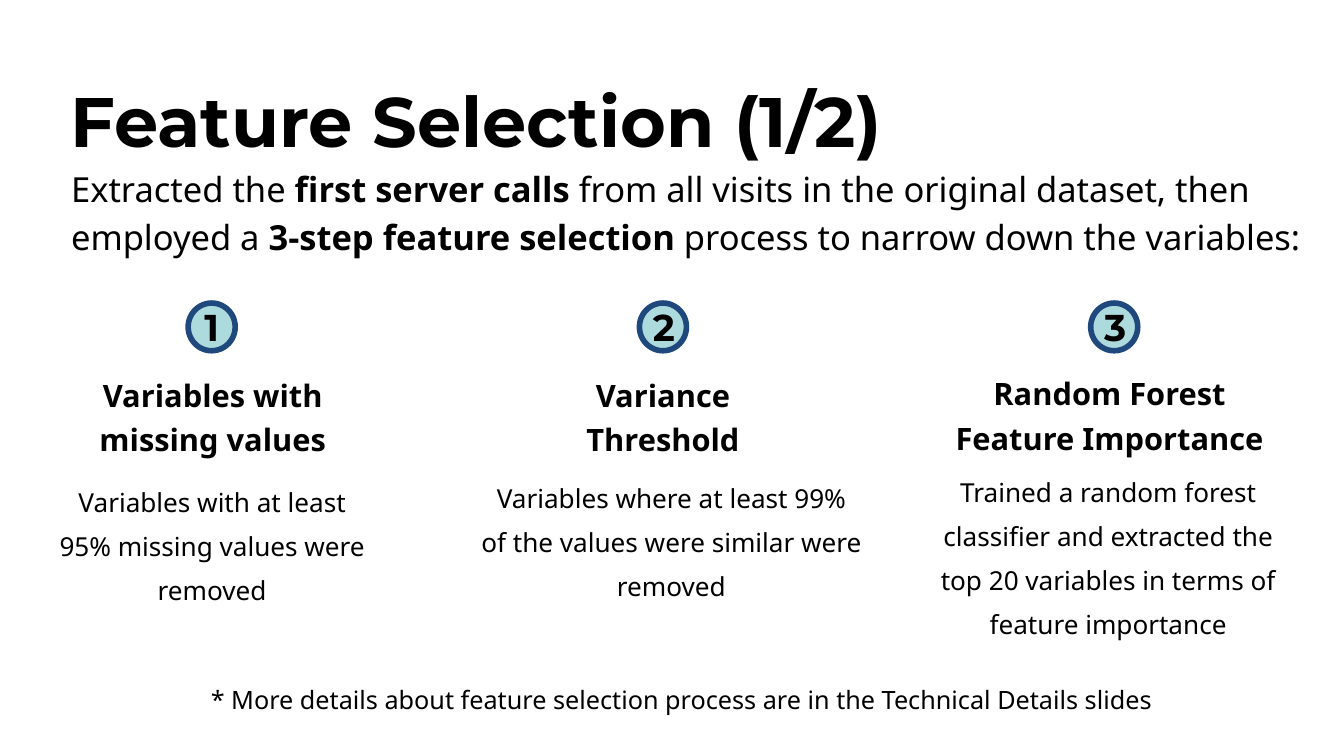
from dataclasses import dataclass
from typing import Any

from pptx import Presentation
from pptx.dml.color import RGBColor
from pptx.enum.shapes import MSO_SHAPE
from pptx.enum.text import MSO_ANCHOR, MSO_AUTO_SIZE, PP_ALIGN
from pptx.slide import Slide
from pptx.util import Pt


@dataclass(frozen=True)
class Theme:
    ink: RGBColor = RGBColor(0, 0, 0)
    badge_fill: RGBColor = RGBColor(0xAD, 0xDB, 0xDD)
    badge_line: RGBColor = RGBColor(0x1F, 0x49, 0x7D)
    heading_font: str = "Montserrat"
    body_font: str = "Noto Sans"
    title_size: float = 75
    badge_size: float = 40
    intro_size: float = 37
    step_size: float = 33
    detail_size: float = 28
    note_size: float = 27


@dataclass(frozen=True)
class Box:
    left: float
    top: float
    width: float
    height: float

    def lengths(self) -> tuple[Pt, ...]:
        return Pt(self.left), Pt(self.top), Pt(self.width), Pt(self.height)


@dataclass(frozen=True)
class Run:
    text: str
    bold: bool = False


@dataclass(frozen=True)
class Step:
    heading: str
    heading_box: Box
    detail: str
    detail_box: Box


THEME = Theme()
BADGE = Box(201.6, 324.7, 50.4, 51.1)
BADGE_PITCH = 483.5
STEPS = [
    Step("Variables with missing values", Box(75.6, 395.3, 304.6, 87.8),
         "Variables with at least 95% missing values were removed",
         Box(63.4, 507.6, 327.6, 128.9)),
    Step("Variance Threshold", Box(589.7, 395.3, 241.2, 134.6),
         "Variables where at least 99% of the values were similar were removed",
         Box(515.5, 503.3, 407.5, 172.8)),
    Step("Random Forest Feature Importance", Box(1013.8, 393.8, 349.9, 87.8),
         "Trained a random forest classifier and extracted the top 20 variables "
         "in terms of feature importance",
         Box(998.6, 497.5, 377.3, 220.3)),
]
INTRO = [
    Run("Extracted the"),
    Run(" first server calls", True),
    Run(" from all visits in the original dataset, then employed a "),
    Run("3-step feature selection ", True),
    Run("process to narrow down the variables:"),
]


def apply_format(target: Any, values: dict[str, Any]) -> None:
    for name, value in values.items():
        setattr(target, name, value)


def write_text(shape: Any, runs: list[Run], font: str, size: float,
               align: PP_ALIGN, spacing: float, frame: dict[str, Any]) -> None:
    apply_format(shape.text_frame, {"word_wrap": True, **frame})
    paragraph = shape.text_frame.paragraphs[0]
    apply_format(paragraph, {"alignment": align, "line_spacing": spacing})
    for item in runs:
        run = paragraph.add_run()
        run.text = item.text
        apply_format(run.font, {"name": font, "size": Pt(size), "bold": item.bold})
        run.font.color.rgb = THEME.ink


def add_text(slide: Slide, box: Box, runs: list[Run], size: float, spacing: float,
             align: PP_ALIGN = PP_ALIGN.CENTER, font: str = THEME.body_font,
             inset: float = 0) -> None:
    shape = slide.shapes.add_textbox(*box.lengths())
    frame = {f"margin_{side}": Pt(inset) for side in ("left", "top", "right", "bottom")}
    frame["auto_size"] = MSO_AUTO_SIZE.SHAPE_TO_FIT_TEXT
    write_text(shape, runs, font, size, align, spacing, frame)


def add_badge(slide: Slide, index: int) -> None:
    box = Box(BADGE.left + index * BADGE_PITCH, BADGE.top, BADGE.width, BADGE.height)
    shape = slide.shapes.add_shape(MSO_SHAPE.OVAL, *box.lengths())
    shape.shadow.inherit = False
    shape.fill.solid()
    shape.fill.fore_color.rgb = THEME.badge_fill
    shape.line.color.rgb = THEME.badge_line
    shape.line.width = Pt(6)
    frame = {f"margin_{side}": Pt(7.2) for side in ("left", "top", "right", "bottom")}
    frame["vertical_anchor"] = MSO_ANCHOR.MIDDLE
    write_text(shape, [Run(str(index + 1), True)], THEME.heading_font,
               THEME.badge_size, PP_ALIGN.CENTER, 1.0, frame)


def add_step(slide: Slide, index: int, step: Step) -> None:
    add_text(slide, step.heading_box, [Run(step.heading, True)], THEME.step_size, 1.2)
    add_text(slide, step.detail_box, [Run(step.detail)], THEME.detail_size, 1.4)
    add_badge(slide, index)


def main() -> None:
    presentation = Presentation()
    apply_format(presentation, {"slide_width": Pt(1440), "slide_height": Pt(810)})
    slide = presentation.slides.add_slide(presentation.slide_layouts[6])
    for index, step in enumerate(STEPS):
        add_step(slide, index, step)
    add_text(slide, Box(69.1, 166.3, 1339.2, 110.9), INTRO, THEME.intro_size, 1.15,
             align=PP_ALIGN.LEFT, inset=7.2)
    note = "* More details about feature selection process are in the Technical Details slides"
    add_text(slide, Box(69.1, 726.5, 1321.2, 47.5), [Run(note)], THEME.note_size, 1.0,
             inset=7.2)
    add_text(slide, Box(75.6, 64.8, 1045.4, 90.7), [Run("Feature Selection (1/2)", True)],
             THEME.title_size, 1.2, align=PP_ALIGN.LEFT, font=THEME.heading_font)
    presentation.save("out.pptx")


if __name__ == "__main__":
    main()
